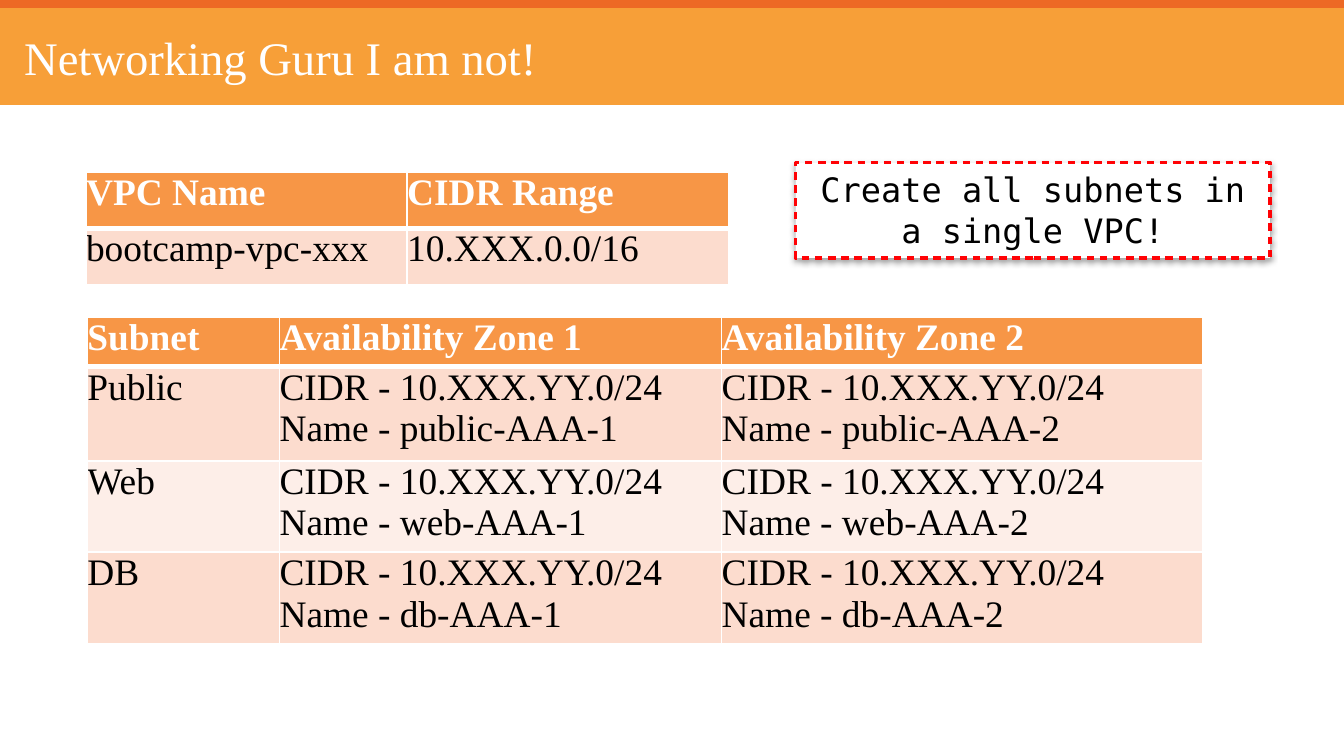
from dataclasses import dataclass

import pptx
import pptx.dml.color
import pptx.enum.shapes
import pptx.enum.text
import pptx.oxml
import pptx.oxml.ns
import pptx.util
from pptx.util import Inches

COLORS = {
    "white": "FFFFFF",
    "black": "000000",
    "band": "F79F38",
    "stripe": "ED6925",
    "header": "F79646",
    "odd_row": "FCDCCE",
    "even_row": "FDEEE8",
    "alert": "FF0205",
}
SERIF = "Times New Roman"
MONO = "DejaVu Sans Mono"
NS = pptx.oxml.ns.nsdecls("a")


@dataclass
class Box:
    left: float
    top: float
    width: float
    height: float

    def lengths(self) -> tuple:
        return tuple(Inches(v) for v in (self.left, self.top, self.width, self.height))


@dataclass
class Grid:
    left: float
    top: float
    cols: list[float]
    rows: list[float]
    cells: list[list[str]]


def rgb(name: str) -> pptx.dml.color.RGBColor:
    return pptx.dml.color.RGBColor.from_string(COLORS[name])


def format_text(tf, font: str, size: float, color: str, bold: bool = False) -> None:
    for p in tf.paragraphs:
        for r in p.runs:
            r.font.name = font
            r.font.size = pptx.util.Pt(size)
            r.font.bold = bold
            r.font.color.rgb = rgb(color)


def set_margins(item, inches: float) -> None:
    for side in ("left", "top", "right", "bottom"):
        setattr(item, f"margin_{side}", Inches(inches))


def add_rect(s, box: Box, fill: str):
    sp = s.shapes.add_shape(pptx.enum.shapes.MSO_SHAPE.RECTANGLE, *box.lengths())
    sp.shadow.inherit = False
    sp.fill.solid()
    sp.fill.fore_color.rgb = rgb(fill)
    sp.line.fill.background()
    return sp


def set_borders(cell, bottom: float) -> None:
    """White borders, 1 pt wide except for the bottom one."""
    tc_pr = cell._tc.get_or_add_tcPr()
    for i, (side, points) in enumerate([("L", 1), ("R", 1), ("T", 1), ("B", bottom)]):
        tc_pr.insert(i, pptx.oxml.parse_xml(
            f'<a:ln{side} {NS} w="{pptx.util.Pt(points)}"><a:solidFill>'
            f'<a:srgbClr val="{COLORS["white"]}"/></a:solidFill></a:ln{side}>'))


def add_grid(s, grid: Grid) -> None:
    box = Box(grid.left, grid.top, sum(grid.cols), sum(grid.rows))
    table = s.shapes.add_table(len(grid.rows), len(grid.cols), *box.lengths()).table
    for col, width in zip(table.columns, grid.cols):
        col.width = Inches(width)
    for i, (row, height) in enumerate(zip(table.rows, grid.rows)):
        row.height = Inches(height)
        is_header = i == 0
        fill = "header" if is_header else "odd_row" if i % 2 else "even_row"
        for cell, text in zip(row.cells, grid.cells[i]):
            cell.text_frame.text = text
            set_margins(cell, 0)
            cell.fill.solid()
            cell.fill.fore_color.rgb = rgb(fill)
            format_text(cell.text_frame, SERIF, 20,
                        "white" if is_header else "black", bold=is_header)
            set_borders(cell, 3 if is_header else 1)


def add_title(s, text: str) -> None:
    sp = s.shapes.title
    sp.left, sp.top, sp.width, sp.height = Box(0.13, 0.14, 9.76, 0.56).lengths()
    tf = sp.text_frame
    tf.text = text
    tf.auto_size = pptx.enum.text.MSO_AUTO_SIZE.NONE
    tf.vertical_anchor = pptx.enum.text.MSO_ANCHOR.MIDDLE
    set_margins(tf, 0.05)
    tf.paragraphs[0].alignment = pptx.enum.text.PP_ALIGN.LEFT
    format_text(tf, SERIF, 25, "white")
    s.shapes.element.append(sp.element)  # in front of the header bars


def add_callout(s, box: Box, text: str) -> None:
    """Dashed box with a soft shadow below it."""
    sp = add_rect(s, box, "white")
    sp.line.color.rgb = rgb("alert")
    sp.line.width = pptx.util.Pt(2)
    sp_pr = sp.element.spPr
    sp_pr.find(pptx.oxml.ns.qn("a:ln")).append(pptx.oxml.parse_xml(
        f'<a:custDash {NS}><a:ds d="200000" sp="150000"/></a:custDash>'))
    sp_pr.find(pptx.oxml.ns.qn("a:effectLst")).append(pptx.oxml.parse_xml(
        f'<a:outerShdw {NS} blurRad="{pptx.util.Pt(3)}" dist="{pptx.util.Pt(1.8)}" '
        f'dir="5400000" rotWithShape="0"><a:srgbClr val="{COLORS["black"]}">'
        '<a:alpha val="35000"/></a:srgbClr></a:outerShdw>'))
    tf = sp.text_frame
    tf.text = text
    tf.word_wrap = True
    tf.auto_size = pptx.enum.text.MSO_AUTO_SIZE.SHAPE_TO_FIT_TEXT
    tf.vertical_anchor = pptx.enum.text.MSO_ANCHOR.TOP
    set_margins(tf, 0.05)
    tf.paragraphs[0].alignment = pptx.enum.text.PP_ALIGN.CENTER
    format_text(tf, MONO, 18, "black")


def subnet_row(label: str) -> list[str]:
    zones = [f"CIDR - 10.XXX.YY.0/24\vName - {label.lower()}-AAA-{zone}" for zone in (1, 2)]
    return [label, *zones]


def main() -> None:
    prs = pptx.Presentation()
    prs.slide_width = Inches(10)
    prs.slide_height = Inches(10 * 9 / 16)
    s = prs.slides.add_slide(prs.slide_layouts.get_by_name("Title Only"))

    add_rect(s, Box(0, 0.06, 10, 0.72), "band")
    add_rect(s, Box(0, 0, 10, 0.06), "stripe")
    add_title(s, "Networking Guru I am not!")

    add_grid(s, Grid(
        0.65, 2.36, [1.43, 3.29, 3.58], [0.37, 0.7, 0.68, 0.68],
        [["Subnet", "Availability Zone 1", "Availability Zone 2"],
         *map(subnet_row, ("Public", "Web", "DB"))]))
    add_grid(s, Grid(
        0.64, 1.28, [2.39] * 2, [0.42] * 2,
        [["VPC Name", "CIDR Range"], ["bootcamp-vpc-xxx", "10.XXX.0.0/16"]]))
    add_callout(s, Box(5.92, 1.21, 3.53, 0.71), "Create all subnets in a single VPC!")

    prs.save("out.pptx")


if __name__ == "__main__":
    main()
